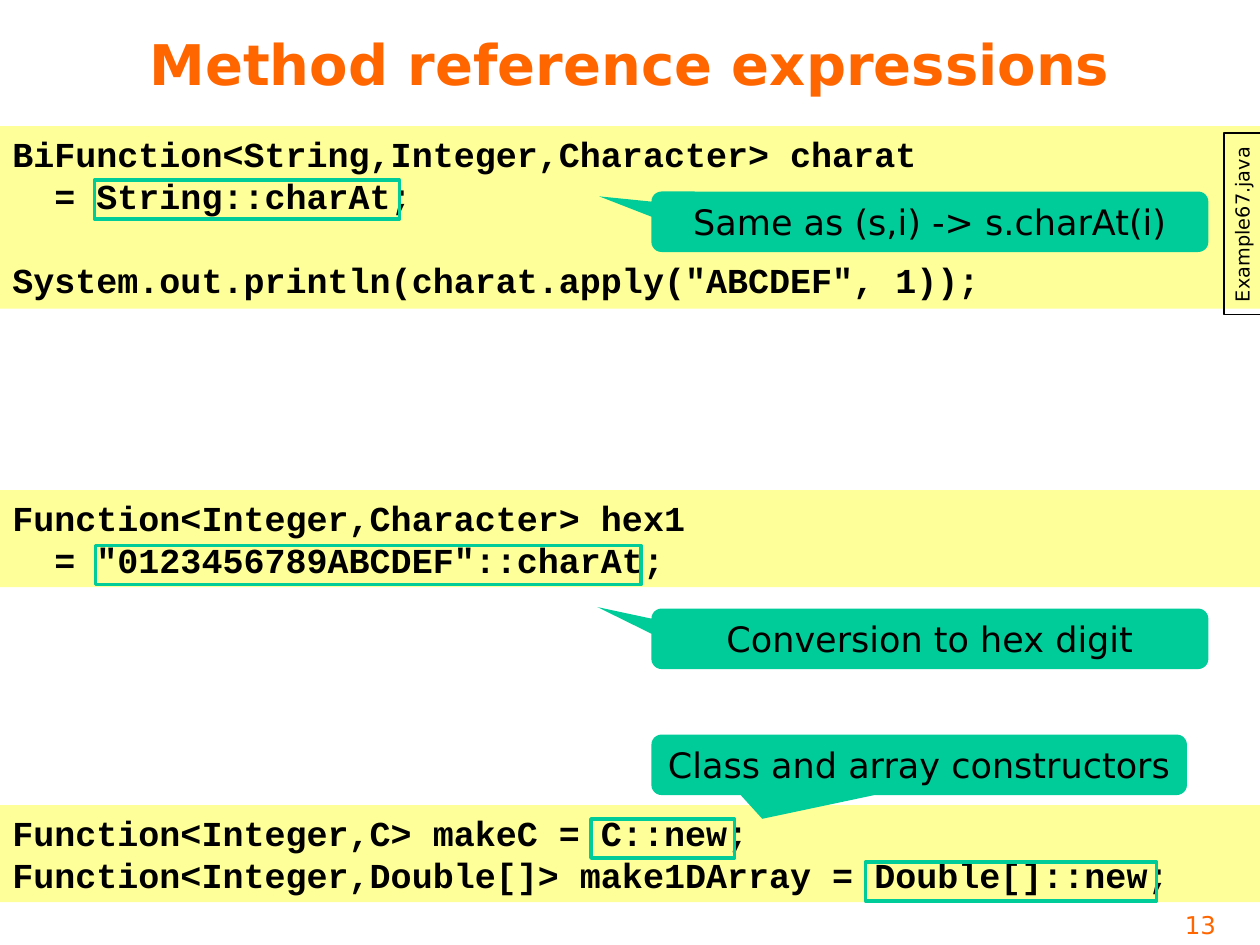
from pptx import Presentation
from pptx.dml.color import RGBColor
from pptx.enum.shapes import MSO_SHAPE
from pptx.enum.text import MSO_ANCHOR, PP_ALIGN
from pptx.util import Inches, Pt

RECTANGLE = MSO_SHAPE.RECTANGLE
CALLOUT = MSO_SHAPE.ROUNDED_RECTANGULAR_CALLOUT
TOP, MIDDLE = MSO_ANCHOR.TOP, MSO_ANCHOR.MIDDLE
LEFT, CENTER, RIGHT = PP_ALIGN.LEFT, PP_ALIGN.CENTER, PP_ALIGN.RIGHT

COLORS = {
    "accent": "FF6600",
    "code": "FFFF99",
    "callout": "00CC99",
    "text": "000000",
}
SANS = "DejaVu Sans"
MONO = "Courier New"
CODE_LEADING = Pt(24)

CODE_BLOCKS = [
    (1, 1.45, [
        "BiFunction<String,Integer,Character> charat",
        "  = String::charAt;",
        "",
        'System.out.println(charat.apply("ABCDEF", 1));',
    ]),
    (3.89, 0.77, [
        "Function<Integer,Character> hex1",
        '  = "0123456789ABCDEF"::charAt;',
    ]),
    (6.39, 0.77, [
        "Function<Integer,C> makeC = C::new;",
        "Function<Integer,Double[]> make1DArray = Double[]::new;",
    ]),
]
CALLOUTS = [
    (1.52, 4.42, (-0.594, -0.42), "Same as (s,i) -> s.charAt(i)"),
    (5.83, 4.25, (-0.293, 0.893), "Class and array constructors"),
    (4.83, 4.42, (-0.597, -0.525), "Conversion to hex digit"),
]
HIGHLIGHTS = [
    (0.75, 1.43, 2.42),
    (0.76, 4.33, 4.33),
    (4.69, 6.5, 1.14),
    (6.87, 6.84, 2.31),
]


def rgb(name):
    return RGBColor.from_string(COLORS[name])


def style_paragraph(para, size, font=SANS, color="text", bold=False, align=LEFT):
    para.alignment = align
    for span in para.runs:
        span.font.name = font
        span.font.size = Pt(size)
        span.font.bold = bold
        span.font.color.rgb = rgb(color)


def add_label(page, text, left, top, width, height, size, align, anchor=TOP, bold=False):
    box = page.shapes.add_textbox(Inches(left), Inches(top), Inches(width), Inches(height))
    frame = box.text_frame
    frame.word_wrap = True
    frame.vertical_anchor = anchor
    frame.text = text
    style_paragraph(frame.paragraphs[0], size, color="accent", bold=bold, align=align)


def add_box(page, kind, left, top, width, height, fill=None, line=None, line_width=0):
    box = page.shapes.add_shape(kind, Inches(left), Inches(top), Inches(width), Inches(height))
    box.shadow.inherit = False
    if fill:
        box.fill.solid()
        box.fill.fore_color.rgb = rgb(fill)
    else:
        box.fill.background()
    if line:
        box.line.color.rgb = rgb(line)
        box.line.width = Pt(line_width)
    else:
        box.line.fill.background()
    return box


def add_code(page, top, height, lines):
    frame = add_box(page, RECTANGLE, 0, top, 10, height, fill="code").text_frame
    frame.vertical_anchor = TOP
    frame.word_wrap = True
    frame.text = "\n".join(line for line in lines if line)
    gaps = [index for index, line in enumerate(lines) if not line]
    for index, para in enumerate(frame.paragraphs):
        para.line_spacing = CODE_LEADING
        if index in gaps:
            para.space_before = CODE_LEADING
        style_paragraph(para, 20, font=MONO, bold=True)


def add_callout(page, top, width, tip, text):
    box = add_box(page, CALLOUT, 5.17, top, width, 0.48, fill="callout")
    for index, value in enumerate((*tip, 0.167)):
        box.adjustments[index] = value
    box.text_frame.vertical_anchor = MIDDLE
    box.text_frame.text = text
    style_paragraph(box.text_frame.paragraphs[0], 20, align=CENTER)


def add_file_tab(page, name):
    box = add_box(page, RECTANGLE, 9.14, 1.63, 1.44, 0.29, line="text", line_width=0.75)
    box.rotation = 270
    frame = box.text_frame
    frame.word_wrap = False
    frame.vertical_anchor = TOP
    frame.text = name
    style_paragraph(frame.paragraphs[0], 11)


def main():
    deck = Presentation()
    deck.slide_width, deck.slide_height = Inches(10), Inches(7.5)
    page = deck.slides.add_slide(deck.slide_layouts[6])
    add_label(page, "Method reference expressions", 0.25, 0, 9.5, 1, 32, CENTER, MIDDLE, True)
    add_label(page, "13", 9.08, 7.17, 0.67, 0.33, 14, RIGHT)
    for block in CODE_BLOCKS:
        add_code(page, *block)
    add_file_tab(page, "Example67.java")
    for callout in CALLOUTS:
        add_callout(page, *callout)
    for left, top, width in HIGHLIGHTS:
        add_box(page, RECTANGLE, left, top, width, 0.31, line="callout", line_width=2)
    deck.save("out.pptx")


if __name__ == "__main__":
    main()
